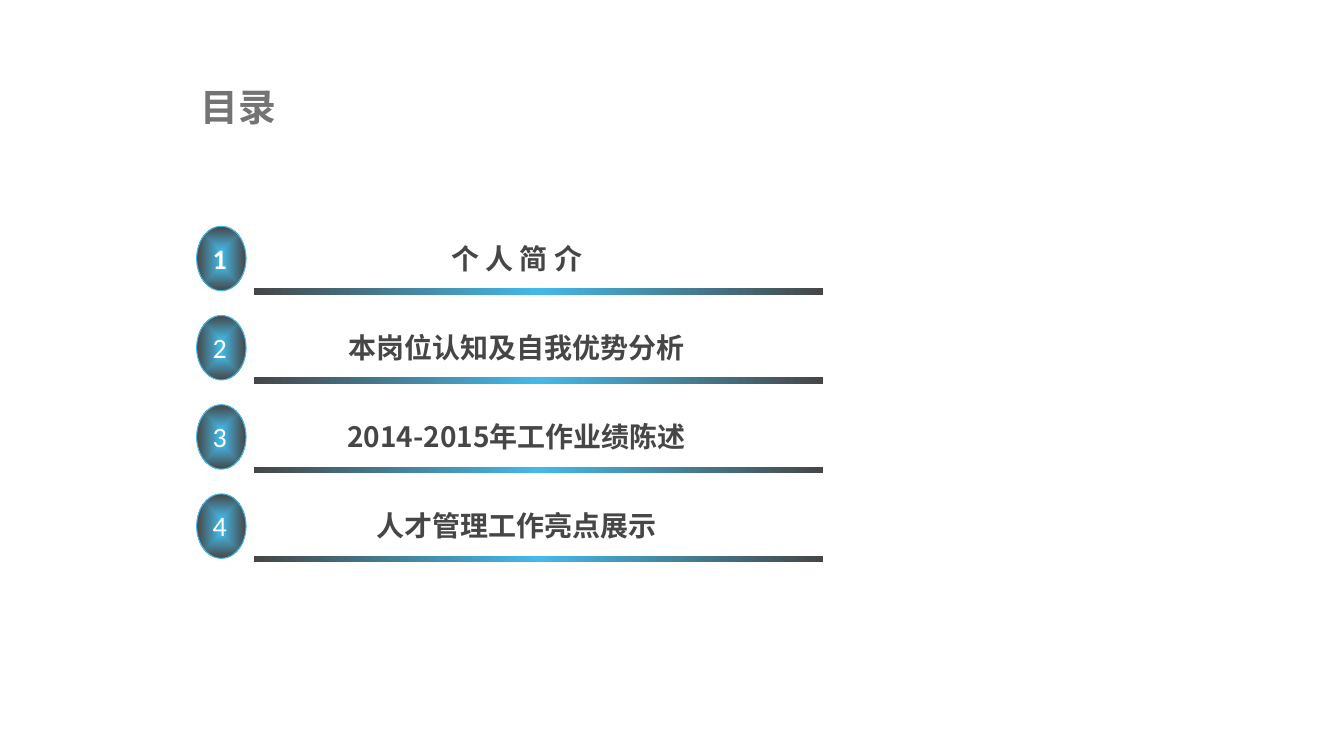
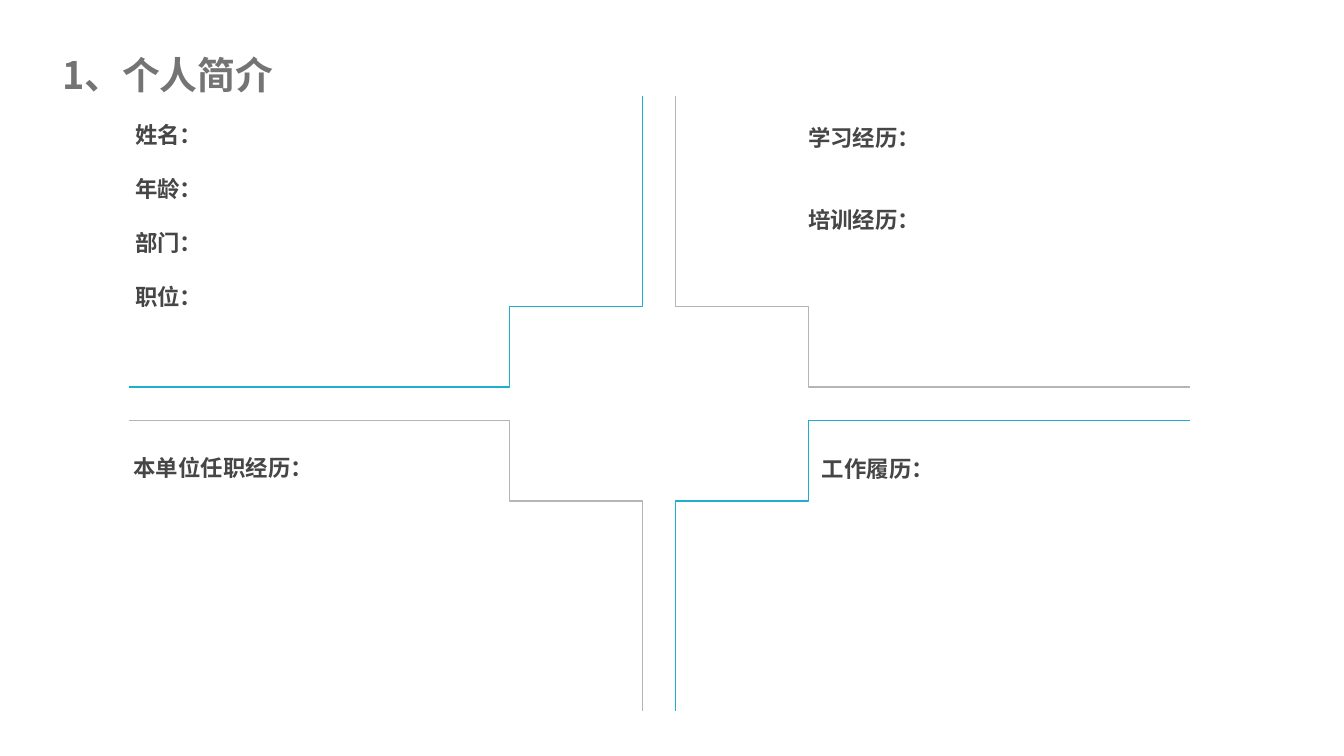
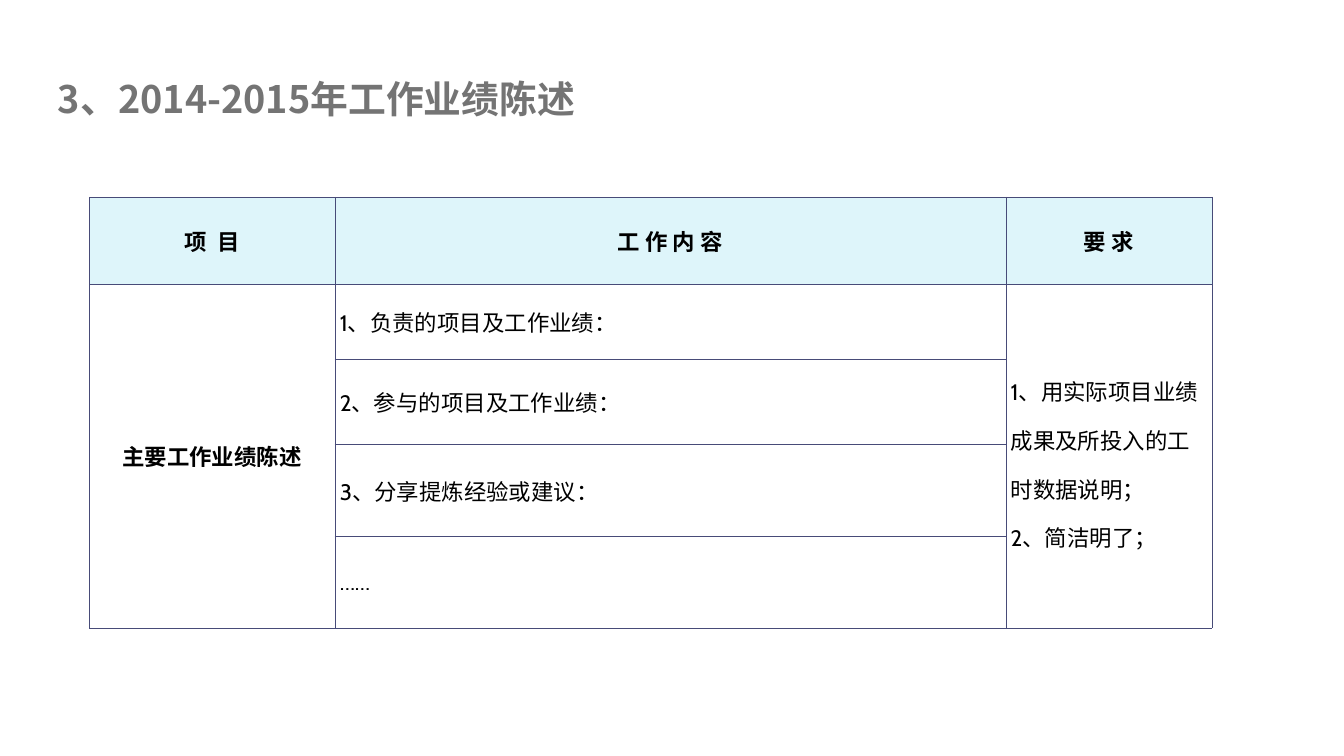
from lxml import etree
from pptx import Presentation
from pptx import util as u
from pptx.dml.color import RGBColor
from pptx.enum import shapes, text
from pptx.oxml import ns, parse_xml

BLUE = RGBColor(0x44, 0xB9, 0xE8)
DARK = RGBColor(0x46, 0x46, 0x46)
GREY = RGBColor(0x74, 0x74, 0x74)
TEAL = RGBColor(0x1F, 0xAE, 0xCD)
PALE = RGBColor(0xB5, 0xB5, 0xB5)
ICE = RGBColor(0xDE, 0xF5, 0xFA)
NAVY = RGBColor(0x47, 0x4B, 0x78)
BLACK = RGBColor(0, 0, 0)
WHITE = RGBColor(255, 255, 255)
HAN = "Noto Sans CJK SC"
LEFT, MID = text.PP_ALIGN.LEFT, text.PP_ALIGN.CENTER
TOP, HALF = text.MSO_ANCHOR.TOP, text.MSO_ANCHOR.MIDDLE

deck = Presentation()
deck.slide_width, deck.slide_height = u.Inches(26.66), u.Inches(15)
COL, ROW = deck.slide_width / 100, deck.slide_height / 100


def area(left, top, wide, high):
    return [round(n) for n in (left * COL, top * ROW, wide * COL, high * ROW)]


def write(frame, lines, size, color, face=HAN, bold=True, align=LEFT,
          pitch=None, gap=0):
    frame.word_wrap = True
    frame.text = "\n".join(lines)
    for i, para in enumerate(frame.paragraphs):
        prop = para._p.get_or_add_pPr()
        prop.set("marL", "0")
        prop.set("indent", "0")
        etree.SubElement(prop, ns.qn("a:buNone"))
        para.alignment = align
        para.line_spacing = pitch
        para.space_before = u.Pt(gap if i else 0)
        font = para.font
        font.size, font.bold, font.name = u.Pt(size), bold, face
        font.color.rgb = color
        east = etree.SubElement(prop.find(ns.qn("a:defRPr")), ns.qn("a:ea"))
        east.set("typeface", HAN)


pages = []
for layout, name, spot in (
    (5, "目录", (14.55, 10.2, 27.76, 7.8)),
    (4, "1、个人简介", (4.24, 5.93, 27.76, 7.8)),
    (5, "3、2014-2015年工作业绩陈述", (3.94, 9.07, 67.74, 7.8)),
):
    page = deck.slides.add_slide(deck.slide_layouts[layout])
    title = page.shapes.title
    title.left, title.top, title.width, title.height = area(*spot)
    write(title.text_frame, [name], 54, GREY)
    title.text_frame.auto_size = text.MSO_AUTO_SIZE.NONE
    title.text_frame.vertical_anchor = HALF
    pages.append(page)
index, about, work = pages

ROUND = ('<a:path path="rect"><a:fillToRect l="50000" t="50000" '
         'r="50000" b="50000"/></a:path>')
FLAT = '<a:lin ang="0" scaled="0"/>'
topics = ["个 人 简 介", "本岗位认知及自我优势分析",
          "2014-2015年工作业绩陈述", "人才管理工作亮点展示"]
for i, topic in enumerate(topics):
    down = i * 11.8
    disc = index.shapes.add_shape(
        shapes.MSO_SHAPE.OVAL, *area(14.63, 29.93 + down, 3.68, 8.53))
    bar = index.shapes.add_shape(
        shapes.MSO_SHAPE.RECTANGLE, *area(18.87, 38.13 + down, 42.39, 0.87))
    for shape, stops, way in (
        (disc, ((0, BLUE), (100, DARK)), ROUND),
        (bar, ((0, DARK), (50, BLUE), (100, DARK)), FLAT),
    ):
        shape.shadow.inherit = False
        shape.line.fill.background()
        marks = "".join(
            f'<a:gs pos="{at * 1000}"><a:srgbClr val="{tone}"/></a:gs>'
            for at, tone in stops)
        shape._element.spPr.find(ns.qn("a:prstGeom")).addnext(parse_xml(
            f'<a:gradFill {ns.nsdecls("a")} rotWithShape="1">'
            f'<a:gsLst>{marks}</a:gsLst>{way}</a:gradFill>'))
    disc.line.color.rgb = BLUE
    disc.line.width = u.Pt(1.5)
    for left, wide, words, face, tone, bold in (
        (15.1, 2.48, str(i + 1), "Calibri", WHITE, i == 0),
        (20.41, 36.05, topic, HAN, DARK, True),
    ):
        box = index.shapes.add_textbox(*area(left, 31.6 + down, wide, 5.13))
        write(box.text_frame, [words], 40, tone, face, bold, MID, u.Pt(48))

for side in (-1, 1):
    for rise in (-1, 1):
        points = [((49.04 + side * x) * COL, (53.4 + rise * y) * ROW)
                  for x, y in ((39.47, 2.2), (11.1, 2.2), (11.1, 12.87),
                               (1.24, 12.87), (1.24, 40.67))]
        pen = about.shapes.build_freeform(*points[0])
        pen.add_line_segments(points[1:], close=False)
        edge = pen.convert_to_shape()
        edge.shadow.inherit = False
        edge.fill.background()
        edge.line.color.rgb = TEAL if side == rise else PALE
        edge.line.width = u.Pt(1.75)

facts = [
    (["姓名：", "年龄：", "部门：", "职位："], (9.68, 15.73, 34.62, 25.6), 38.5),
    (["学习经历：", "培训经历："], (59.75, 14.33, 34.62, 22), 58),
    (["本单位任职经历："], (9.56, 57.93, 27.46, 11.33), 58),
    (["工作履历："], (60.77, 58, 34.62, 11.33), 58),
]
for i, (lines, spot, pitch) in enumerate(facts, 1):
    body = about.placeholders[i]
    body.left, body.top, body.width, body.height = area(*spot)
    write(body.text_frame, lines, 32, DARK, pitch=u.Pt(pitch), gap=pitch)
    body.text_frame.auto_size = text.MSO_AUTO_SIZE.NONE
    body.text_frame.vertical_anchor = TOP

wides = [18.27, 49.92, 15.34]
highs = [11.47, 9.93, 11.33, 12.13, 12.13]
cells = {
    (0, 0): ["项  目"], (0, 1): ["工 作 内 容"], (0, 2): ["要 求"],
    (1, 0): ["主要工作业绩陈述"],
    (1, 1): ["1、负责的项目及工作业绩："],
    (2, 1): ["2、参与的项目及工作业绩："],
    (3, 1): ["3、分享提炼经验或建议："],
    (4, 1): ["……"],
    (1, 2): ["1、用实际项目业绩成果及所投入的工时数据说明；", "2、简洁明了；"],
}
grid = work.shapes.add_table(
    len(highs), len(wides), *area(6.64, 26.07, sum(wides), sum(highs))).table
grid.first_row = grid.horz_banding = False
for col, wide in zip(grid.columns, wides):
    col.width = round(wide * COL)
for row, high in zip(grid.rows, highs):
    row.height = round(high * ROW)
for c in (0, 2):
    grid.cell(1, c).merge(grid.cell(4, c))
for r in range(len(highs)):
    for c in range(len(wides)):
        cell = grid.cell(r, c)
        cell.vertical_anchor = HALF
        prop = cell._tc.get_or_add_tcPr()
        for side in "LRTB":
            prop.append(parse_xml(
                f'<a:ln{side} {ns.nsdecls("a")} w="{u.Pt(0.45)}"><a:solidFill>'
                f'<a:srgbClr val="{NAVY}"/></a:solidFill></a:ln{side}>'))
        if r:
            cell.fill.background()
        else:
            cell.fill.solid()
            cell.fill.fore_color.rgb = ICE
        if (r, c) in cells:
            head = r == 0 or c == 0
            write(cell.text_frame, cells[r, c], 32, BLACK, "Cabin", head,
                  MID if head else LEFT, 1.5 if r and c == 2 else None)

deck.save("out.pptx")
